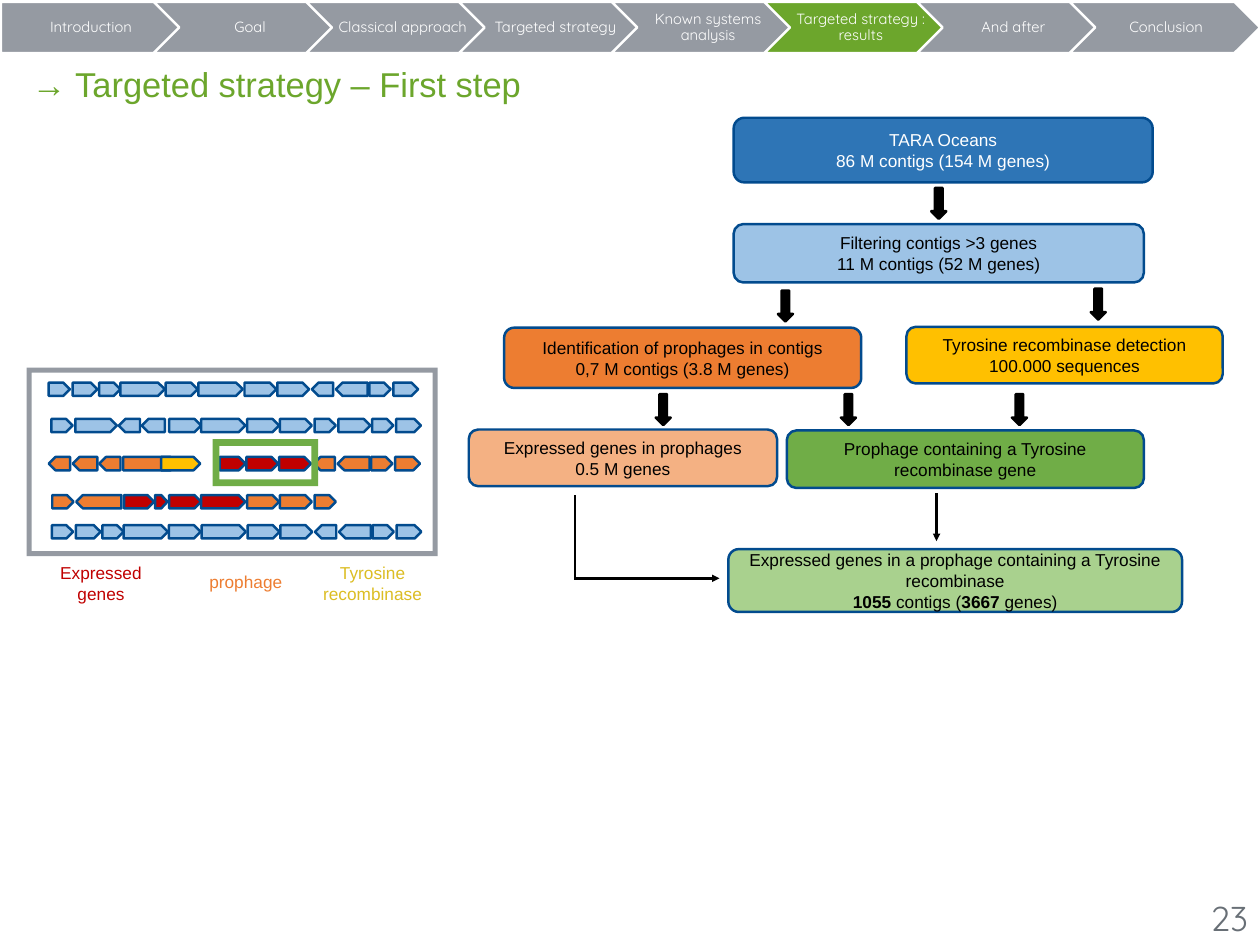
from dataclasses import dataclass

from lxml.etree import SubElement
from pptx import Presentation
from pptx.dml.color import RGBColor
from pptx.enum.shapes import MSO_CONNECTOR, MSO_SHAPE
from pptx.enum.text import MSO_ANCHOR, MSO_AUTO_SIZE, PP_ALIGN
from pptx.oxml.ns import qn
from pptx.util import Inches, Pt

# The slide is a grid of square cells
COLUMNS, ROWS = 142.2, 106.7


@dataclass(frozen=True)
class Theme:
    body_font: str = "Arial"
    accent_font: str = "Quicksand"
    title_size: int = 28
    label_size: int = 14
    step_size: int = 12
    line_width: int = 2
    black: str = "000000"
    white: str = "FFFFFF"
    gray: str = "959AA2"
    number_gray: str = "686F76"
    title_green: str = "6CA62C"
    outline: str = "024B8E"
    deep_blue: str = "2E75B6"
    light_blue: str = "9DC3E6"
    orange: str = "ED7D31"
    light_orange: str = "F4B183"
    gold: str = "FFC000"
    dark_gold: str = "DCBD23"
    red: str = "C00000"
    green: str = "70AD47"
    light_green: str = "A9D18E"


class SlideBuilder:
    """Holds the theme and the current slide; positions are grid columns and rows."""

    def __init__(self, presentation, theme):
        self.theme = theme
        self.cell_width = presentation.slide_width / COLUMNS
        self.cell_height = presentation.slide_height / ROWS
        self.slide = presentation.slides.add_slide(presentation.slide_layouts[6])

    def place(self, column, row):
        return round(column * self.cell_width), round(row * self.cell_height)

    def shape(self, kind, box, fill, line=None, adjustment=None):
        left, top, width, height = box
        shape = self.slide.shapes.add_shape(
            kind, *self.place(left, top), *self.place(width, height))
        shape.shadow.inherit = False
        shape.fill.solid()
        shape.fill.fore_color.rgb = RGBColor.from_string(fill)
        if line:
            shape.line.color.rgb = RGBColor.from_string(line)
            shape.line.width = Pt(self.theme.line_width)
        else:
            shape.line.fill.background()
        if adjustment is not None:
            shape.adjustments[0] = adjustment
        return shape

    def add_lines(self, shape, lines, color, size, font, align=PP_ALIGN.CENTER, margins=None):
        """Each line is a string, or a list of (text, bold) runs."""
        frame = shape.text_frame
        frame.word_wrap = True
        frame.vertical_anchor = MSO_ANCHOR.MIDDLE
        if margins:
            (frame.margin_left, frame.margin_top,
             frame.margin_right, frame.margin_bottom) = map(Inches, margins)
        for index, line in enumerate(lines):
            paragraph = frame.add_paragraph() if index else frame.paragraphs[0]
            paragraph.alignment = align
            for text, bold in [(line, False)] if isinstance(line, str) else line:
                run = paragraph.add_run()
                run.text = text
                run.font.name = font
                run.font.size = Pt(size)
                run.font.bold = bold
                run.font.color.rgb = RGBColor.from_string(color)
        return frame

    def text(self, box, lines, color, size=None, font=None, align=PP_ALIGN.CENTER, wrap=True):
        left, top, width, height = box
        text_box = self.slide.shapes.add_textbox(
            *self.place(left, top), *self.place(width, height))
        frame = self.add_lines(text_box, lines, color, size or self.theme.label_size,
                               font or self.theme.body_font, align, (0.06,) * 4)
        frame.word_wrap = wrap
        frame.auto_size = MSO_AUTO_SIZE.SHAPE_TO_FIT_TEXT

    def flow_box(self, box, lines, fill, color):
        shape = self.shape(MSO_SHAPE.ROUNDED_RECTANGLE, box, fill, self.theme.outline)
        self.add_lines(shape, lines, color, self.theme.label_size, self.theme.body_font)

    def block_arrow(self, column, row):
        self.shape(MSO_SHAPE.DOWN_ARROW, (column, row, 1.7, 3.5),
                   self.theme.black, self.theme.black)

    def line(self, start, end, arrow=False):
        connector = self.slide.shapes.add_connector(
            MSO_CONNECTOR.STRAIGHT, *self.place(*start), *self.place(*end))
        connector.line.color.rgb = RGBColor.from_string(self.theme.black)
        connector.line.width = Pt(self.theme.line_width)
        properties = connector._element.spPr
        if arrow:
            SubElement(properties.get_or_add_ln(), qn("a:tailEnd"), type="triangle")
        SubElement(properties, qn("a:effectLst"))

    def step(self, index, label, fill):
        kind = MSO_SHAPE.CHEVRON if index else MSO_SHAPE.PENTAGON
        shape = self.shape(kind, (0.1 + 17.23 * index, 0.2, 21.5, 5.8), fill, self.theme.white)
        frame = self.add_lines(shape, [label], self.theme.white, self.theme.step_size,
                               self.theme.accent_font, margins=(0.05, 0.04, 0.02, 0.04))
        frame.paragraphs[0].line_spacing = 0.9

    def contig(self, row, shift, genes, colors, directions):
        fills = {"b": self.theme.light_blue, "o": self.theme.orange,
                 "y": self.theme.gold, "r": self.theme.red}
        for (left, width), color, direction in zip(genes, colors, directions):
            gene = self.shape(MSO_SHAPE.PENTAGON, (left + shift, row, width, 1.5),
                              fills[color], self.theme.outline)
            gene.rotation = 180 if direction == "<" else 0


def main():
    presentation = Presentation()
    presentation.slide_width, presentation.slide_height = Inches(14.22), Inches(10.67)
    theme = Theme()
    builder = SlideBuilder(presentation, theme)

    # Arrows and connectors of the flow chart
    for column, row in [(105.1, 21.2), (87.8, 32.8), (123.1, 32.6),
                        (74, 44.5), (94.9, 44.5), (114.2, 44.5)]:
        builder.block_arrow(column, row)
    builder.line((64.9, 55.9), (64.9, 65.3))
    builder.line((64.8, 65.3), (81.2, 65.3), arrow=True)
    builder.line((105.7, 55.7), (105.7, 61.1), arrow=True)

    # Flow chart boxes
    for box, lines, fill, color in [
        ((82.8, 13.3, 47.3, 7.3), ["TARA Oceans", "86 M contigs (154 M genes)"],
         theme.deep_blue, theme.white),
        ((82.8, 25.3, 46.3, 6.6), ["Filtering contigs >3 genes", "11 M contigs (52 M genes)"],
         theme.light_blue, theme.black),
        ((56.9, 37, 40.3, 6.8),
         ["Identification of prophages in contigs", "0,7 M contigs (3.8 M genes)"],
         theme.orange, theme.black),
        ((102.3, 36.9, 35.7, 6.4), ["Tyrosine recombinase detection", "100.000 sequences"],
         theme.gold, theme.black),
        ((52.9, 48.5, 34.8, 6.4), ["Expressed genes in prophages", "0.5 M genes"],
         theme.light_orange, theme.black),
        ((88.8, 48.6, 40.3, 6.5), ["Prophage containing a Tyrosine recombinase gene"],
         theme.green, theme.black),
        ((82.2, 62, 51.2, 7.1),
         ["Expressed genes in a prophage containing a Tyrosine recombinase",
          [("1055", True), (" contigs (", False), ("3667 ", True), ("genes)", False)]],
         theme.light_green, theme.black),
    ]:
        builder.flow_box(box, lines, fill, color)

    # Contigs: (left, width) of each gene, the right-hand genes being shared
    start = [(5.5, 2.4), (8.2, 2.8), (11.2, 2.4)]
    right = [(22.4, 5), (27.6, 3.6), (31.3, 3.6), (35.2, 2.4),
             (37.9, 3.6), (41.7, 2.4), (44.4, 2.8)]
    full = start + [(13.6, 5), (18.7, 3.6)] + right
    second = [(5.5, 2.4), (8.2, 4.7), (13.1, 2.4), (15.7, 2.6), (18.8, 3.6)] + right
    third = [(5.3, 2.4), (8, 2.8), (11, 2.4), (13.7, 6.1), (18, 4.4), (24.6, 2.9)] + right[1:]
    fourth = [(5.6, 2.4), (8.3, 5.1), (13.7, 3.4), (17.2, 1.4), (18.8, 3.6)] + right[:4]
    for row, shift, genes, colors, directions in [
        (43.2, 0, full, "b" * 12, ">>>>>>>><<>>"),
        (47.3, 0.3, second, "b" * 12, ">><<>>>>>>>>"),
        (51.6, 0.2, third, "ooooyrrroooo", "<<<>>>>><<>>"),
        (55.9, 0.3, fourth, "oorrrrooo", "><>>>>>>>"),
        (59.3, 0.35, full, "b" * 12, ">>>>>>>><<>>"),
    ]:
        builder.contig(row, shift, genes, colors, directions)

    # Frames and legend of the contigs
    builder.shape(MSO_SHAPE.FRAME, (3, 41.5, 46.4, 21.3), theme.gray, adjustment=0.027)
    builder.shape(MSO_SHAPE.FRAME, (24, 49.6, 11.9, 5.3), theme.green, adjustment=0.143)
    builder.text((5.4, 62.9, 12, 5.8), ["Expressed", "genes"], theme.red)
    builder.text((22.6, 63.9, 10.3, 3.5), ["prophage"], theme.orange)
    builder.text((35.8, 62.9, 12.5, 5.8), ["Tyrosine", "recombinase"], theme.dark_gold)

    # Progress bar
    current = "Targeted strategy : results"
    for index, label in enumerate(["Introduction", "Goal", "Classical approach",
                                   "Targeted strategy", "Known systems analysis",
                                   current, "And after", "Conclusion"]):
        builder.step(index, label, theme.title_green if label == current else theme.gray)

    # Title and slide number
    builder.text((3, 6.6, 127.1, 5.8), ["→ Targeted strategy – First step"],
                 theme.title_green, theme.title_size, align=PP_ALIGN.LEFT)
    builder.text((136, 100.7, 5.5, 5.8), ["23"], theme.number_gray, theme.title_size,
                 theme.accent_font, wrap=False)

    presentation.save("out.pptx")


if __name__ == "__main__":
    main()
